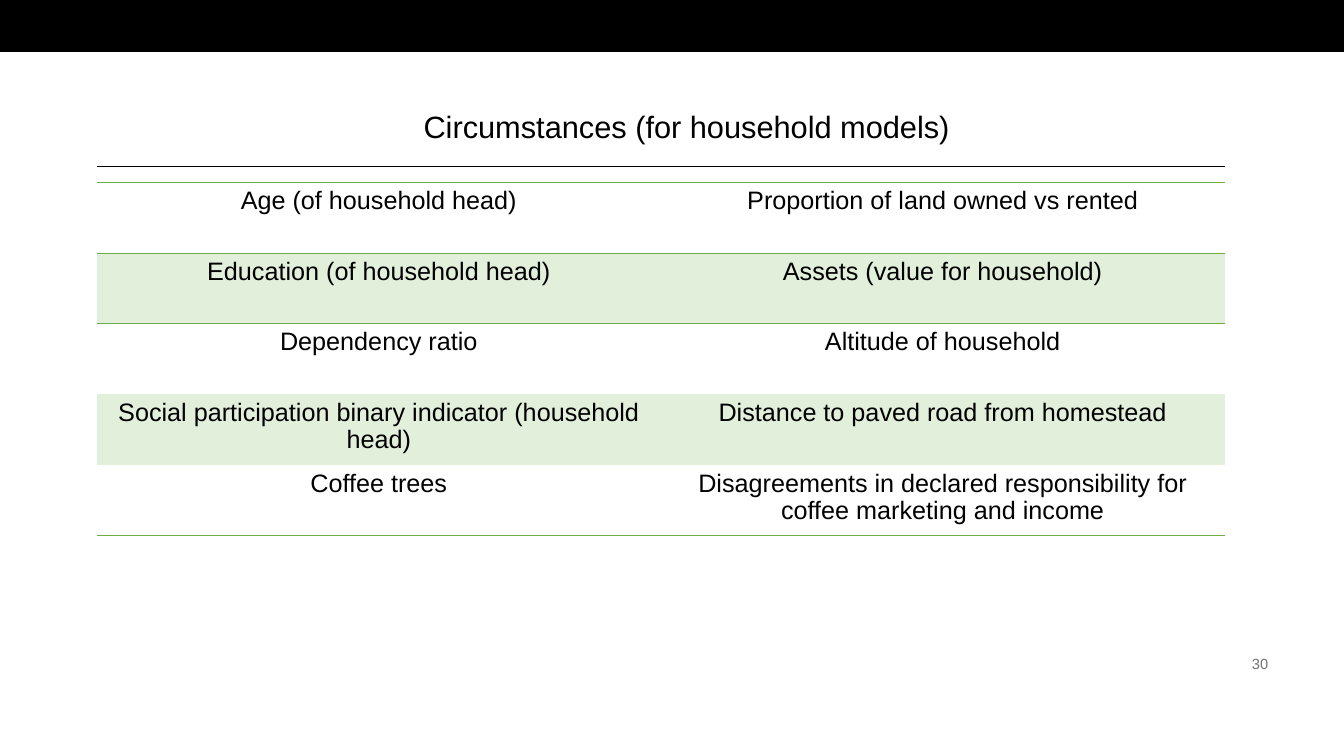
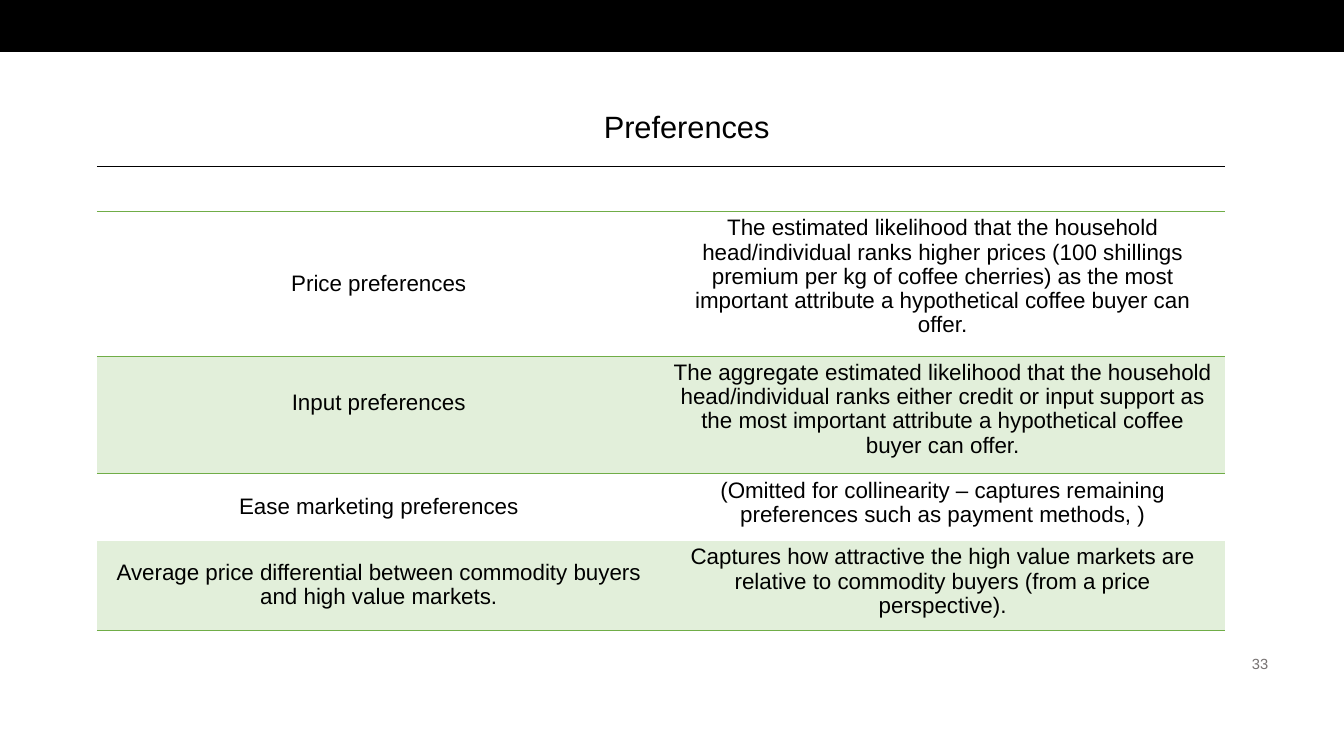
from lxml.etree import SubElement
from pptx import Presentation
from pptx.dml.color import RGBColor
from pptx.enum.shapes import MSO_CONNECTOR, MSO_SHAPE
from pptx.enum.text import MSO_ANCHOR, MSO_AUTO_SIZE, PP_ALIGN
from pptx.oxml.ns import qn
from pptx.util import Cm, Pt

FONT = "Arial"
BLACK = "000000"
GREY = "767171"
GREEN = "70AD47"
PALE_GREEN = "E2EFDA"
NO_STYLE = "{2D5ABB26-0587-4C30-8999-92F81FD0307C}"

SLIDE_WIDTH = Cm(33.87)
CONTENT_LEFT = Cm(2.44)
CONTENT_WIDTH = Cm(28.42)

CIRCUMSTANCES = [
    ("Age (of household head)", "Proportion of land owned vs rented"),
    ("Education (of household head)", "Assets (value for household)"),
    ("Dependency ratio", "Altitude of household"),
    ("Social participation binary indicator (household head)",
     "Distance to paved road from homestead"),
    ("Coffee trees",
     "Disagreements in declared responsibility for coffee marketing and income"),
]
PREFERENCES = [
    ("Price preferences",
     "The estimated likelihood that the household head/individual ranks higher "
     "prices (100 shillings premium per kg of coffee cherries) as the most "
     "important attribute a hypothetical coffee buyer can offer."),
    ("Input preferences",
     "The aggregate estimated likelihood that the household head/individual ranks "
     "either credit or input support as the most important attribute a "
     "hypothetical coffee buyer can offer."),
    ("Ease marketing preferences",
     "(Omitted for collinearity – captures remaining preferences such as payment "
     "methods, )"),
    ("Average price differential between commodity buyers and high value markets.",
     "Captures how attractive the high value markets are relative to commodity "
     "buyers (from a price perspective)."),
]


def color(hex_string):
    return RGBColor.from_string(hex_string)


def write(text_frame, text, size, alignment, hex_string=BLACK):
    text_frame.text = text
    paragraph = text_frame.paragraphs[0]
    paragraph.alignment = alignment
    paragraph.font.name = FONT
    paragraph.font.size = Pt(size)
    paragraph.font.color.rgb = color(hex_string)
    return paragraph


def add_band(slide):
    band = slide.shapes.add_shape(MSO_SHAPE.RECTANGLE, 0, 0, SLIDE_WIDTH, Cm(1.3))
    band.shadow.inherit = False
    band.fill.solid()
    band.fill.fore_color.rgb = color(BLACK)
    band.line.color.rgb = color(BLACK)
    band.line.width = Pt(1)


def add_title_rule(slide):
    top = Cm(4.19)
    rule = slide.shapes.add_connector(
        MSO_CONNECTOR.STRAIGHT, CONTENT_LEFT, top, CONTENT_LEFT + CONTENT_WIDTH, top)
    rule.line.color.rgb = color(BLACK)
    rule.line.width = Pt(0.5)
    SubElement(rule._element.spPr, qn("a:effectLst"))


def format_title(slide, text):
    title = slide.shapes.title
    title.left, title.top = Cm(4.06), Cm(2.59)
    title.width, title.height = Cm(26.49), Cm(1.19)
    title.text_frame.auto_size = MSO_AUTO_SIZE.NONE
    title.text_frame.vertical_anchor = MSO_ANCHOR.TOP
    write(title.text_frame, text, 22, PP_ALIGN.CENTER)


def add_page_number(slide, number):
    box = slide.shapes.add_textbox(Cm(28.04), Cm(16.38), Cm(4.17), Cm(0.69))
    box.text_frame.word_wrap = True
    box.text_frame.vertical_anchor = MSO_ANCHOR.MIDDLE
    write(box.text_frame, str(number), 10.5, PP_ALIGN.RIGHT, GREY)


def add_border(cell, tag):
    border = SubElement(cell._tc.get_or_add_tcPr(), qn(tag), w=str(Pt(1)))
    fill = SubElement(border, qn("a:solidFill"))
    SubElement(fill, qn("a:srgbClr"), val=GREEN)


def add_striped_table(slide, rows, top, row_heights, size, label_anchor):
    columns = len(rows[0])
    frame = slide.shapes.add_table(
        len(rows), columns, CONTENT_LEFT, top, CONTENT_WIDTH, sum(row_heights))
    table = frame.table
    table.first_row = False
    table.horz_banding = False
    table._tbl.tblPr.find(qn("a:tableStyleId")).text = NO_STYLE
    last = len(rows) - 1
    for row_index, (texts, height) in enumerate(zip(rows, row_heights)):
        table.rows[row_index].height = height
        for column_index, text in enumerate(texts):
            cell = table.cell(row_index, column_index)
            paragraph = write(cell.text_frame, text, size, PP_ALIGN.CENTER)
            paragraph.line_spacing = 0.97
            cell.vertical_anchor = label_anchor if column_index == 0 else MSO_ANCHOR.TOP
            if row_index in (0, 1):
                add_border(cell, "a:lnT")
            if row_index in (0, last):
                add_border(cell, "a:lnB")
            if row_index % 2:
                cell.fill.solid()
                cell.fill.fore_color.rgb = color(PALE_GREEN)
            else:
                cell.fill.background()
    return table


def add_content_slide(presentation, title, number):
    slide = presentation.slides.add_slide(presentation.slide_layouts[5])
    add_band(slide)
    add_title_rule(slide)
    add_page_number(slide, number)
    format_title(slide, title)
    return slide


def main():
    presentation = Presentation()
    presentation.slide_width = SLIDE_WIDTH
    presentation.slide_height = Cm(19.05)

    slide = add_content_slide(presentation, "Circumstances (for household models)", 30)
    add_striped_table(slide, CIRCUMSTANCES, Cm(4.6), [Cm(1.78)] * len(CIRCUMSTANCES),
                      18, MSO_ANCHOR.TOP)

    slide = add_content_slide(presentation, "Preferences", 33)
    heights = [Cm(height) for height in (3.65, 2.96, 1.68, 2.27)]
    table = add_striped_table(slide, PREFERENCES, Cm(5.33), heights,
                              16, MSO_ANCHOR.MIDDLE)
    table.cell(1, 0).margin_bottom = Cm(0.75)

    presentation.save("out.pptx")


if __name__ == "__main__":
    main()
